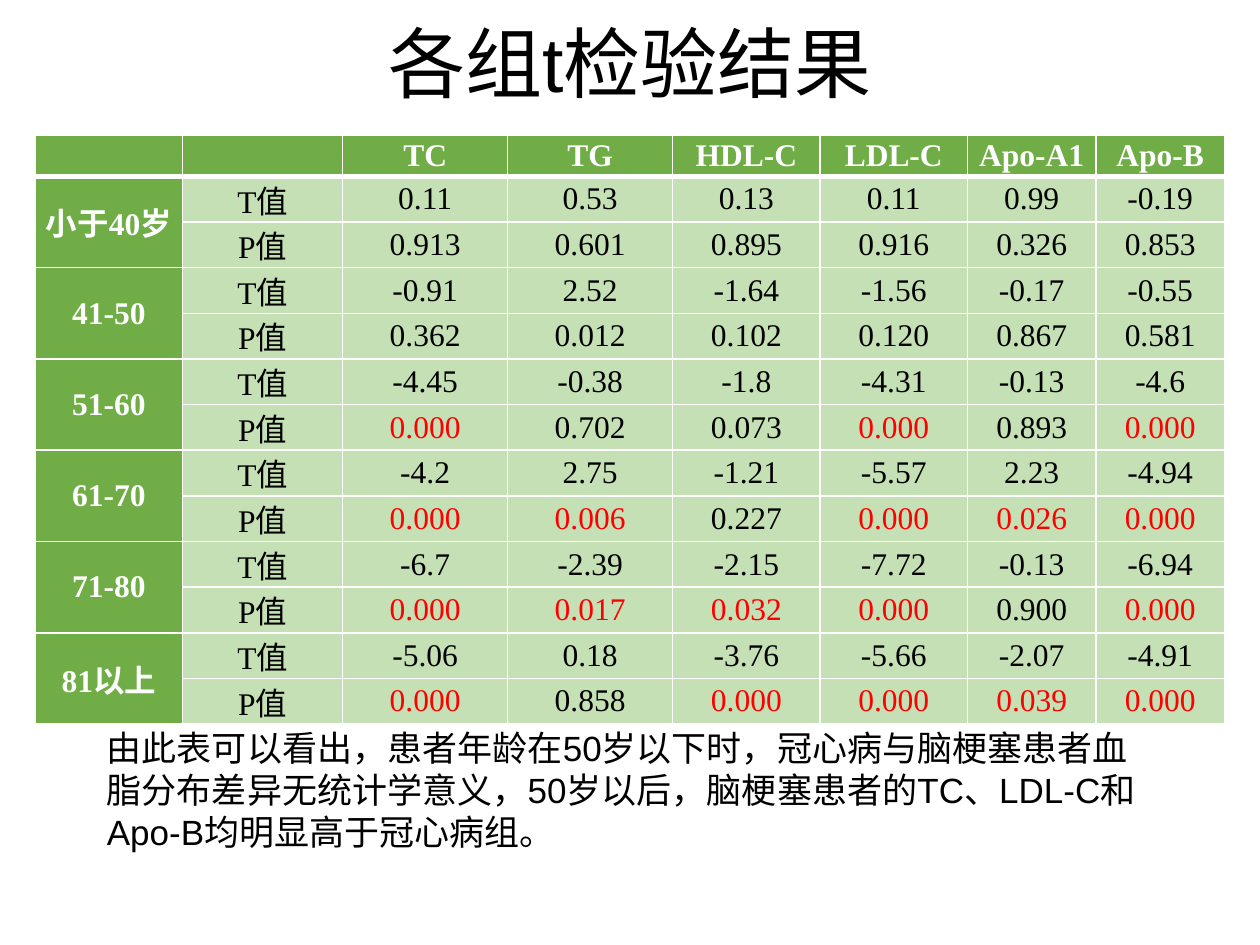
from lxml.etree import SubElement
from pptx import Presentation
from pptx.dml.color import RGBColor
from pptx.enum.text import MSO_ANCHOR, PP_ALIGN
from pptx.oxml.ns import qn
from pptx.util import Inches, Pt

GREEN, PALE_GREEN = "70AD47", "C5E0B4"
WHITE, BLACK, RED = "FFFFFF", "000000", "FF0000"
LIPIDS = ["TC", "TG", "HDL-C", "LDL-C", "Apo-A1", "Apo-B"]
COLUMN_WIDTHS = [1.17, 1.27, 1.31, 1.31, 1.17, 1.17, 1.02, 1.02]
RESULTS = {
    "小于40岁": ("0.11 0.53 0.13 0.11 0.99 -0.19",
               "0.913 0.601 0.895 0.916 0.326 0.853"),
    "41-50": ("-0.91 2.52 -1.64 -1.56 -0.17 -0.55",
              "0.362 0.012 0.102 0.120 0.867 0.581"),
    "51-60": ("-4.45 -0.38 -1.8 -4.31 -0.13 -4.6",
              "0.000 0.702 0.073 0.000 0.893 0.000"),
    "61-70": ("-4.2 2.75 -1.21 -5.57 2.23 -4.94",
              "0.000 0.006 0.227 0.000 0.026 0.000"),
    "71-80": ("-6.7 -2.39 -2.15 -7.72 -0.13 -6.94",
              "0.000 0.017 0.032 0.000 0.900 0.000"),
    "81以上": ("-5.06 0.18 -3.76 -5.66 -2.07 -4.91",
             "0.000 0.858 0.000 0.000 0.039 0.000"),
}
HEADER_HEIGHT, BODY_HEIGHT = 0.33, 4.35
BODY_ROWS = 2 * len(RESULTS)
ROW_HEIGHTS = [HEADER_HEIGHT] + [BODY_HEIGHT / BODY_ROWS] * BODY_ROWS
UNMARKED_GROUPS = {"小于40岁", "41-50"}
CONCLUSION = ("由此表可以看出，患者年龄在50岁以下时，冠心病与脑梗塞患者血脂分布差异无统计学意义，"
              "50岁以后，脑梗塞患者的TC、LDL-C和Apo-B均明显高于冠心病组。")


def color(hex_value):
    """Turn a hex string into a colour."""
    return RGBColor.from_string(hex_value)


def apply(target, formats):
    """Set each attribute of target from a dict of format values."""
    for name, value in formats.items():
        setattr(target, name, value)


def write(frame, text, hex_value, align, line_spacing=None, **font_formats):
    """Write one formatted paragraph into a text frame."""
    paragraph = frame.paragraphs[0]
    apply(paragraph, {"alignment": align, "line_spacing": line_spacing})
    run = paragraph.add_run()
    run.text = text
    apply(run.font, font_formats)
    run.font.color.rgb = color(hex_value)


def add_text(slide, box, text, anchor, **formats):
    """Add a wrapping text box at left, top, width, height in inches."""
    frame = slide.shapes.add_textbox(*map(Inches, box)).text_frame
    apply(frame, {"word_wrap": True, "vertical_anchor": anchor})
    write(frame, text, BLACK, name="Arial", **formats)


def add_borders(cell, widths):
    """Draw white borders on a cell, with widths in points by side."""
    properties = cell._tc.get_or_add_tcPr()
    for index, side in enumerate("LRTB"):
        line = SubElement(properties, qn(f"a:ln{side}"), w=str(Pt(widths.get(side, 1))))
        fill = SubElement(line, qn("a:solidFill"))
        SubElement(fill, qn("a:srgbClr"), val=WHITE)
        properties.insert(index, line)


def style_cell(cell, text, fill, hex_value, bold, widths):
    """Fill, border and label one table cell."""
    apply(cell, {"margin_left": Inches(0.07), "margin_right": Inches(0.07),
                 "margin_top": 0, "margin_bottom": 0,
                 "vertical_anchor": MSO_ANCHOR.MIDDLE})
    cell.fill.solid()
    cell.fill.fore_color.rgb = color(fill)
    add_borders(cell, widths)
    if text:
        write(cell.text_frame, text, hex_value, PP_ALIGN.CENTER,
              name="Times New Roman", size=Pt(18), bold=bold)


def value_color(group, statistic, value):
    """Pick red for the significant P values of the older groups."""
    significant = statistic == "P值" and float(value) < 0.05
    return RED if significant and group not in UNMARKED_GROUPS else BLACK


def add_results_table(slide):
    """Add the table of T and P values by age group and lipid."""
    table = slide.shapes.add_table(
        len(ROW_HEIGHTS), len(COLUMN_WIDTHS), Inches(0.28), Inches(1.07),
        Inches(sum(COLUMN_WIDTHS)), Inches(sum(ROW_HEIGHTS))).table
    for column, width in zip(table.columns, COLUMN_WIDTHS):
        column.width = Inches(width)
    for row, height in zip(table.rows, ROW_HEIGHTS):
        row.height = Inches(height)

    for column, heading in enumerate(["", ""] + LIPIDS):
        style_cell(table.cell(0, column), heading, GREEN, WHITE, True, {"B": 3})
    for index, (group, statistics) in enumerate(RESULTS.items()):
        first_row = 1 + 2 * index
        for offset, (statistic, values) in enumerate(zip(("T值", "P值"), statistics)):
            row = first_row + offset
            widths = {"T": 3} if row == 1 else {}
            style_cell(table.cell(row, 0), "" if offset else group,
                       GREEN, WHITE, True, widths)
            style_cell(table.cell(row, 1), statistic, PALE_GREEN, BLACK, False, widths)
            for column, value in enumerate(values.split(), start=2):
                style_cell(table.cell(row, column), value, PALE_GREEN,
                           value_color(group, statistic, value), False, widths)
        table.cell(first_row, 0).merge(table.cell(first_row + 1, 0))


def main():
    """Build the slide and save it."""
    presentation = Presentation()
    apply(presentation, {"slide_width": Inches(10), "slide_height": Inches(7.5)})
    slide = presentation.slides.add_slide(presentation.slide_layouts[6])
    add_text(slide, (0.69, 0, 8.62, 1.07), "各组t检验结果", MSO_ANCHOR.MIDDLE,
             align=PP_ALIGN.CENTER, line_spacing=0.9, size=Pt(44))
    add_results_table(slide)
    add_text(slide, (0.75, 5.72, 8.5, 1.11), CONCLUSION, MSO_ANCHOR.TOP,
             align=PP_ALIGN.LEFT, size=Pt(20))
    presentation.save("out.pptx")


if __name__ == "__main__":
    main()
